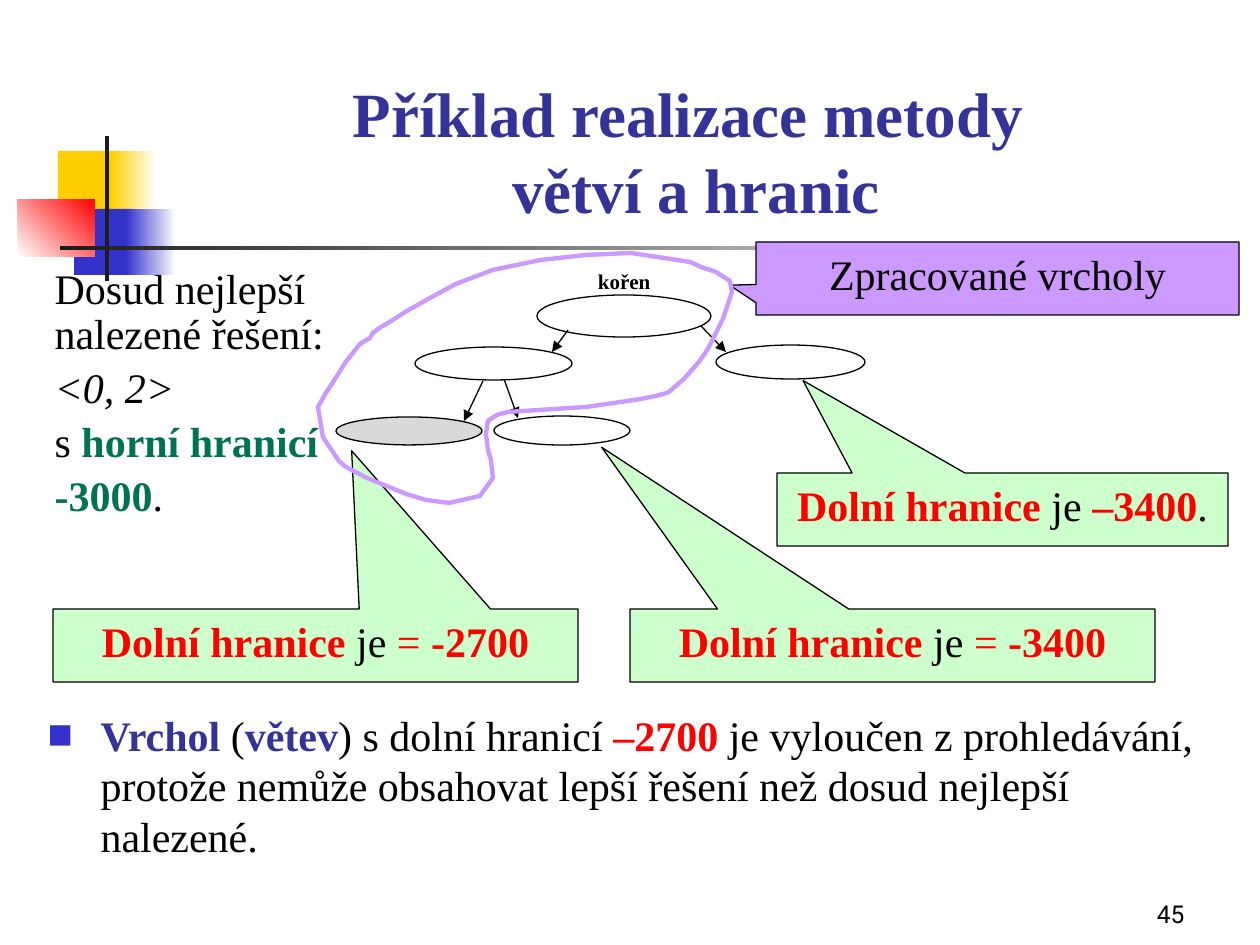
"""Build the slide on a worked branch and bound example."""
from lxml import etree
from pptx import Presentation
from pptx.dml.color import RGBColor
from pptx.enum.shapes import MSO_CONNECTOR, MSO_SHAPE
from pptx.enum.text import MSO_ANCHOR, MSO_AUTO_SIZE, PP_ALIGN
from pptx.oxml.ns import qn
from pptx.util import Pt

PX = 914400 / 126
SERIF = "Times New Roman"

BLACK = RGBColor(0x00, 0x00, 0x00)
WHITE = RGBColor(0xFF, 0xFF, 0xFF)
INK = RGBColor(0x1C, 0x1C, 0x1C)
YELLOW = RGBColor(0xFF, 0xCF, 0x01)
BLUE = RGBColor(0x33, 0x33, 0xCC)
NAVY = RGBColor(0x33, 0x33, 0x99)
RED = RGBColor(0xFF, 0x00, 0x00)
TEAL = RGBColor(0x00, 0x72, 0x54)
GREY = RGBColor(0xD9, 0xD9, 0xD9)
MINT = RGBColor(0xCC, 0xFF, 0xCC)
LILAC = RGBColor(0xCC, 0x99, 0xFF)

ORNAMENTS = [
    ((58, 151, 60, 66), (YELLOW,), 0),
    ((111, 151, 45, 66), (YELLOW, WHITE), 0),
    ((74, 209, 58, 66), (BLUE,), 0),
    ((126, 209, 50, 66), (BLUE, WHITE), 0),
    ((18, 199, 77, 58), (WHITE, RED), 45),
    ((105, 136, 4, 145), (INK,), 0),
    ((60, 246, 1134, 4), (INK, WHITE), 0),
]

TITLE = [[("Příklad realizace metody \vvětví a hranic", NAVY, "b")]]
ROOT_LABEL = [[("kořen", BLACK, "b")]]
PAGE_NUMBER = [[("45", BLACK, "")]]
BEST_SOLUTION = [
    [("Dosud nejlepší nalezené řešení:", BLACK, "")],
    [("<0, 2>", BLACK, "i")],
    [("s ", BLACK, ""), ("horní hranicí", TEAL, "b")],
    [("-3000", TEAL, "b"), (".", BLACK, "")],
]
CONCLUSION = [[
    ("Vrchol ", NAVY, "b"), ("(", BLACK, ""), ("větev", NAVY, "b"),
    (") s dolní hranicí ", BLACK, ""), ("–2700", RED, "b"),
    (" je vyloučen z prohledávání, protože nemůže obsahovat lepší řešení "
     "než dosud nejlepší nalezené.", BLACK, ""),
]]

NODES = [
    ((537, 295, 174, 42), None),
    ((415, 347, 157, 33), None),
    ((716, 345, 149, 34), None),
    ((336, 417, 146, 28), GREY),
    ((494, 416, 136, 29), None),
]
EDGES = [
    (701, 326, 726, 352),
    (568, 330, 552, 352),
    (483, 381, 464, 421),
    (504, 379, 518, 418),
]

LOWER_BOUND = [("Dolní hranice ", RED, "b"), ("je ", BLACK, "")]
CALLOUTS = [
    ((777, 473, 451, 73), (-0.442, -1.765), MINT,
     LOWER_BOUND + [("–3400", RED, "b"), (".", BLACK, "")]),
    ((756, 242, 483, 73), (-0.555, 0.092), LILAC,
     [("Zpracované vrcholy", BLACK, "")]),
    ((53, 609, 525, 73), (0.069, -2.667), MINT,
     LOWER_BOUND + [("= ", RED, ""), ("-2700", RED, "b")]),
    ((630, 609, 525, 73), (-0.554, -2.714), MINT,
     LOWER_BOUND + [("= ", RED, ""), ("-3400", RED, "b")]),
]

PROCESSED_REGION = [
    (730, 281), (716, 272), (701, 267), (690, 262), (631, 253), (586, 255),
    (541, 260), (493, 270), (456, 284), (432, 297), (407, 311), (388, 323),
    (378, 329), (373, 333), (370, 338), (360, 344), (345, 363), (339, 373),
    (326, 393), (318, 407), (323, 437), (339, 461), (346, 467), (367, 478),
    (406, 494), (426, 500), (449, 503), (480, 496), (493, 478), (491, 460),
    (488, 450), (486, 434), (488, 421), (497, 415), (508, 412), (587, 407),
    (641, 399), (656, 396), (667, 393), (670, 391), (684, 379), (699, 362),
    (708, 349), (718, 329), (723, 319), (732, 292),
]


def emu(*lengths):
    return [round(length * PX) for length in lengths]


def write(frame, paragraphs, size=24, font=SERIF, align=PP_ALIGN.LEFT,
          anchor=MSO_ANCHOR.TOP, spacing=None, bullet=None, hang=0):
    frame.word_wrap = True
    frame.auto_size = MSO_AUTO_SIZE.NONE
    frame.vertical_anchor = anchor
    for index, runs in enumerate(paragraphs):
        paragraph = frame.add_paragraph() if index else frame.paragraphs[0]
        paragraph.alignment = align
        paragraph.line_spacing = spacing
        paragraph.space_before = Pt(size * 0.2 if index else 0)
        properties = paragraph._p.get_or_add_pPr()
        indent = emu(hang)[0]
        properties.set("marL", str(indent))
        properties.set("indent", str(-indent))
        if bullet:
            color = etree.SubElement(properties, qn("a:buClr"))
            etree.SubElement(color, qn("a:srgbClr"), val=str(BLUE))
            etree.SubElement(properties, qn("a:buFont"), typeface=font)
            etree.SubElement(properties, qn("a:buChar"), char=bullet)
        else:
            etree.SubElement(properties, qn("a:buNone"))
        paragraph.font.name = font
        paragraph.font.size = Pt(size)
        for position, (text, color, style) in enumerate(runs):
            for part, line in enumerate(text.split("\v")):
                if part:
                    paragraph.add_line_break()
                run = paragraph.add_run()
                run.text = line
                run.font.color.rgb = color
                run.font.bold = "b" in style
                run.font.italic = "i" in style


def paint(shape, fill=None, line=None, width=0.75):
    shape.shadow.inherit = False
    if fill is None:
        shape.fill.background()
    else:
        shape.fill.solid()
        shape.fill.fore_color.rgb = fill
    if line is None:
        shape.line.fill.background()
    else:
        shape.line.color.rgb = line
        shape.line.width = Pt(width)


def place(shapes, placeholder, box):
    placeholder.left, placeholder.top, placeholder.width, placeholder.height = emu(*box)
    shapes._spTree.append(placeholder._element)
    return placeholder.text_frame


def add_ornaments(shapes):
    for box, colors, angle in ORNAMENTS:
        ornament = shapes.add_shape(MSO_SHAPE.RECTANGLE, *emu(*box))
        paint(ornament, colors[0])
        if len(colors) > 1:
            ornament.fill.gradient()
            ornament.fill.gradient_angle = angle
            for stop, color in zip(ornament.fill.gradient_stops, colors):
                stop.color.rgb = color


def add_tree(shapes):
    label = shapes.add_textbox(*emu(597, 268, 60, 29)).text_frame
    label.margin_left = label.margin_right = label.margin_top = label.margin_bottom = emu(1)[0]
    write(label, ROOT_LABEL, size=12)
    for box, fill in NODES:
        paint(shapes.add_shape(MSO_SHAPE.OVAL, *emu(*box)), fill, BLACK)
    for ends in EDGES:
        edge = shapes.add_connector(MSO_CONNECTOR.STRAIGHT, *emu(*ends))
        edge.line.color.rgb = BLACK
        edge.line.width = Pt(0.75)
        etree.SubElement(edge.line._get_or_add_ln(), qn("a:tailEnd"), type="triangle")
        etree.SubElement(edge._element.spPr, qn("a:effectLst"))


def add_callouts(shapes):
    for box, tip, fill, runs in CALLOUTS:
        callout = shapes.add_shape(MSO_SHAPE.RECTANGULAR_CALLOUT, *emu(*box))
        callout.adjustments[0], callout.adjustments[1] = tip
        paint(callout, fill, BLACK)
        write(callout.text_frame, [runs], align=PP_ALIGN.CENTER)


def main():
    deck = Presentation()
    deck.slide_width, deck.slide_height = emu(1260, 945)
    slide = deck.slides.add_slide(deck.slide_layouts[3])
    shapes = slide.shapes
    title, best, conclusion = slide.placeholders

    add_ornaments(shapes)
    page = shapes.add_textbox(*emu(935, 872, 262, 63)).text_frame
    write(page, PAGE_NUMBER, size=14, font="Roboto", align=PP_ALIGN.RIGHT,
          anchor=MSO_ANCHOR.BOTTOM)
    write(place(shapes, title, (159, 53, 1074, 179)), TITLE, size=36,
          align=PP_ALIGN.CENTER, anchor=MSO_ANCHOR.BOTTOM)
    add_tree(shapes)
    write(place(shapes, best, (42, 262, 363, 305)), BEST_SOLUTION, spacing=0.9)
    add_callouts(shapes)
    write(place(shapes, conclusion, (35, 703, 1189, 179)), CONCLUSION,
          bullet="■", hang=53)

    outline = shapes.build_freeform(*PROCESSED_REGION[0], scale=PX)
    outline.add_line_segments(PROCESSED_REGION[1:], close=True)
    paint(outline.convert_to_shape(), line=LILAC, width=2.5)
    deck.save("out.pptx")


if __name__ == "__main__":
    main()
